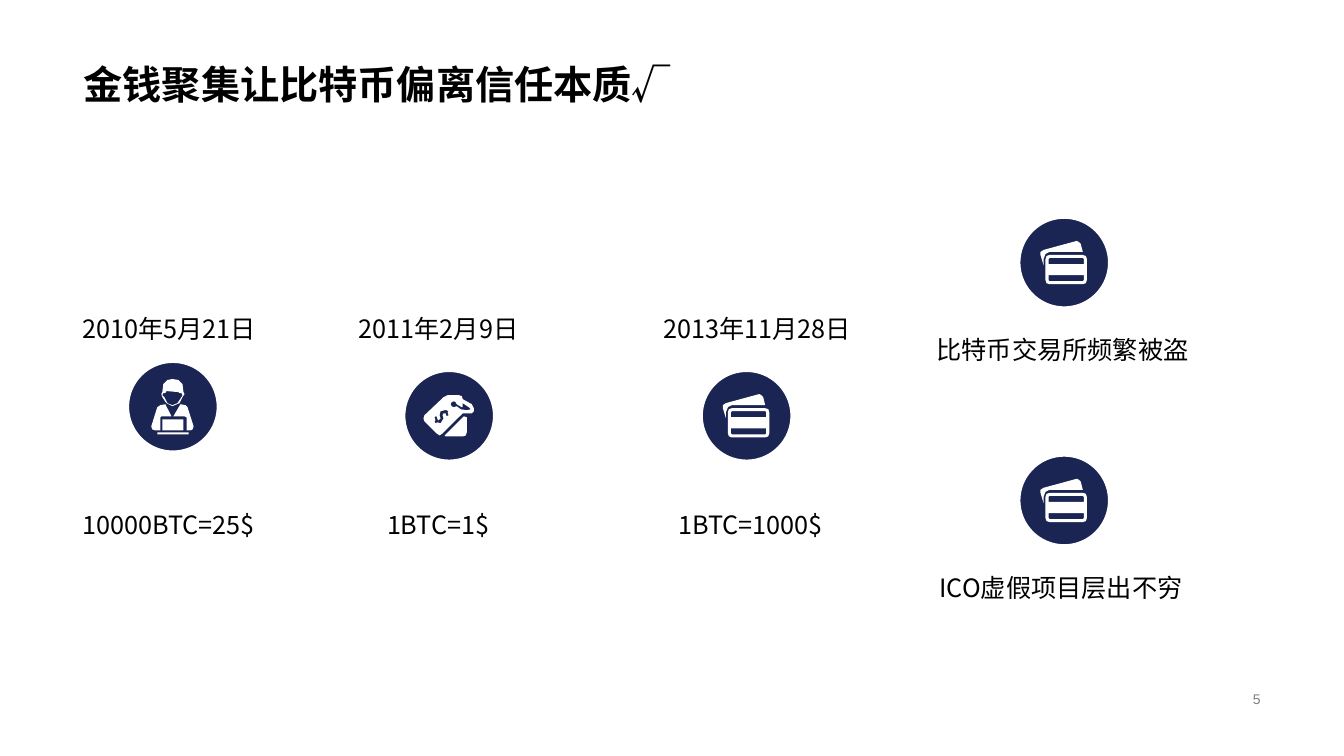
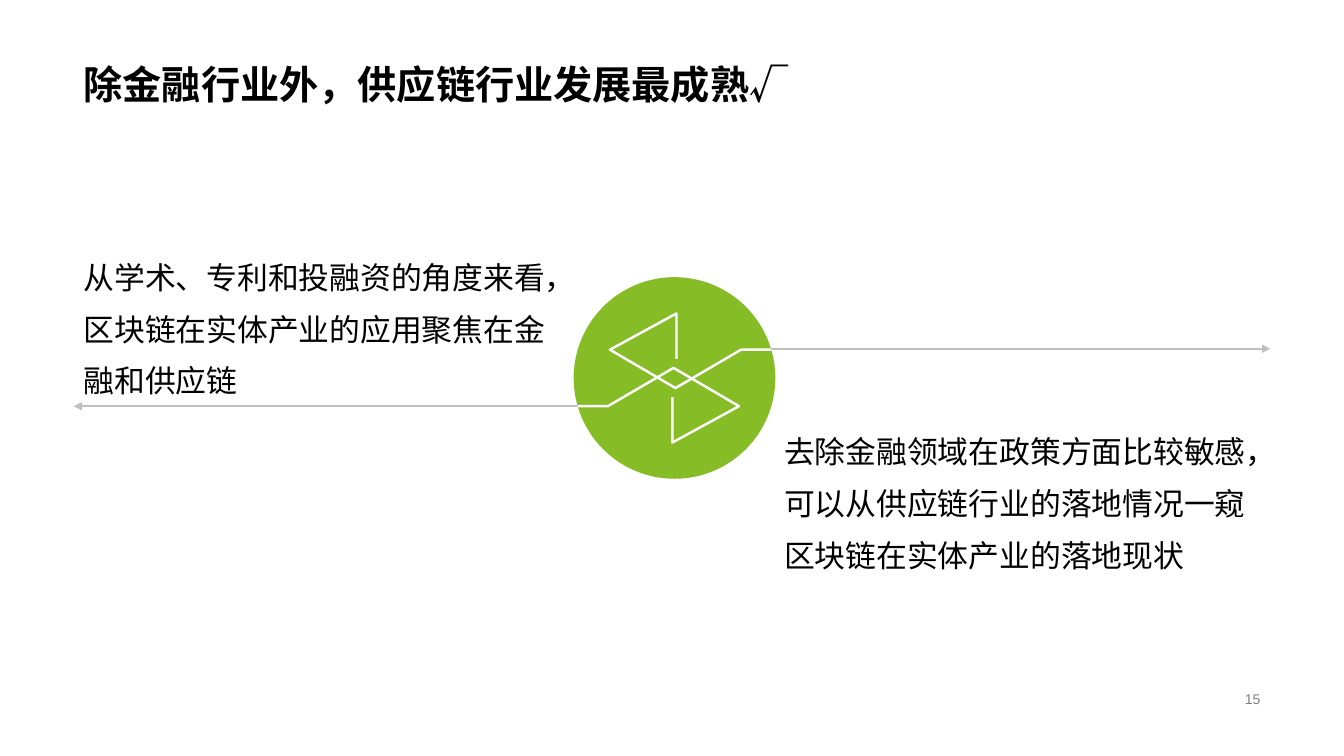
import pptx
import pptx.util
import pptx.dml.color
import pptx.enum.shapes
import pptx.enum.text
import pptx.oxml
import pptx.oxml.ns
from pptx.util import Inches

BLACK = pptx.dml.color.RGBColor(0x00, 0x00, 0x00)
WHITE = pptx.dml.color.RGBColor(0xFF, 0xFF, 0xFF)
GRAY = pptx.dml.color.RGBColor(0x80, 0x80, 0x80)
ARROW_GRAY = pptx.dml.color.RGBColor(0xBF, 0xBF, 0xBF)
NAVY = pptx.dml.color.RGBColor(0x1A, 0x25, 0x54)
GREEN = pptx.dml.color.RGBColor(0x86, 0xBC, 0x25)

LATIN_FONT = "Arial"
CJK_FONT = "Noto Sans CJK SC"
ANCHOR = pptx.enum.text.MSO_ANCHOR
ALIGN = pptx.enum.text.PP_ALIGN
OVAL = pptx.enum.shapes.MSO_SHAPE.OVAL
STRAIGHT = pptx.enum.shapes.MSO_CONNECTOR.STRAIGHT

# Icon outlines, in hundredths of an inch from the badge's top left corner
BADGE_SIZE = 0.91
CARDS = [
    [(31, 38), (64, 38), (67, 39), (68, 42), (68, 63), (67, 66), (64, 67),
     (31, 67), (28, 66), (27, 63), (27, 42), (28, 39)],
    [(30, 58), (65, 58), (65, 63), (64, 64), (31, 64), (30, 63)],
    [(31, 41), (64, 41), (65, 42), (65, 47), (30, 47), (30, 42)],
    [(58, 24), (60, 25), (62, 27), (64, 35), (31, 35), (27, 37), (25, 42),
     (25, 48), (22, 38), (22, 35), (25, 33)],
]
HACKER = [
    [(30, 71), (61, 71), (61, 73), (30, 73)],
    [(35, 58), (56, 58), (56, 69), (35, 69)],
    [(53, 43), (58, 44), (60, 46), (66, 65), (65, 68), (63, 69), (59, 69),
     (59, 56), (57, 55), (46, 55)],
    [(38, 43), (44, 55), (34, 55), (33, 56), (33, 69), (28, 69), (25, 68),
     (24, 65), (30, 46), (33, 44)],
    [(45, 18), (51, 19), (55, 23), (56, 31), (57, 33), (55, 36), (52, 42),
     (45, 45), (39, 42), (35, 36), (34, 33), (35, 31), (36, 23), (40, 19)],
    [(39, 30), (38, 32), (36, 32), (35, 34), (37, 36), (40, 42), (45, 44),
     (50, 42), (54, 36), (55, 34), (54, 32), (52, 32), (51, 31)],
]
PRICE_TAG = [
    [(60, 46), (63, 47), (63, 62), (62, 65), (59, 66), (42, 66), (41, 65)],
    [(44, 25), (55, 25), (58, 26), (59, 29), (68, 34), (70, 38), (70, 41),
     (68, 43), (64, 43), (59, 43), (39, 63), (36, 65), (33, 63), (21, 51),
     (20, 48), (21, 45), (40, 27)],
    [(43, 40), (41, 40), (37, 41), (36, 45), (37, 48), (35, 50), (34, 49),
     (33, 46), (32, 46), (31, 47), (32, 50), (31, 51), (32, 53), (34, 52),
     (37, 53), (40, 48), (39, 45), (40, 43), (42, 43), (43, 46), (45, 45),
     (44, 42), (45, 41)],
    [(50, 31), (48, 32), (47, 34), (48, 36), (50, 37), (53, 36), (57, 39),
     (63, 40), (67, 39), (65, 37), (59, 33), (59, 37), (58, 37), (53, 34),
     (52, 32)],
]


class Deck:
    """Holds the shared style and the slide being filled."""

    def __init__(self):
        self.presentation = pptx.Presentation()
        self.presentation.slide_width = Inches(13.33)
        self.presentation.slide_height = Inches(7.5)
        self.slide = None

    def style(self, paragraph, size, color=BLACK, font=LATIN_FONT, bold=False):
        paragraph.font.size = pptx.util.Pt(size)
        paragraph.font.bold = bold
        paragraph.font.color.rgb = color
        paragraph.font.name = font
        # East Asian typeface follows the Latin one
        defaults = paragraph._p.pPr.find(pptx.oxml.ns.qn("a:defRPr"))
        east_asian = pptx.oxml.parse_xml(
            f'<a:ea {pptx.oxml.ns.nsdecls("a")} typeface="{CJK_FONT}"/>')
        defaults.append(east_asian)

    def start_slide(self, heading, number):
        layout = self.presentation.slide_layouts[5]
        self.slide = self.presentation.slides.add_slide(layout)
        title = self.slide.shapes.title
        title.left, title.top = Inches(0.73), Inches(0)
        title.width, title.height = Inches(11.87), Inches(1.12)
        title.text_frame.text = heading
        title.text_frame.vertical_anchor = ANCHOR.BOTTOM
        paragraph = title.text_frame.paragraphs[0]
        paragraph.alignment = ALIGN.LEFT
        paragraph.line_spacing = 0.9
        self.style(paragraph, 28, bold=True)
        footer = self.text(number, 9.42, 6.82, 3.18, 0.23, 10, color=GRAY)
        footer.vertical_anchor = ANCHOR.MIDDLE
        footer.paragraphs[0].alignment = ALIGN.RIGHT

    def text(self, words, left, top, width, height, size, color=BLACK,
             font=LATIN_FONT, spacing=None):
        box = self.slide.shapes.add_textbox(
            Inches(left), Inches(top), Inches(width), Inches(height))
        frame = box.text_frame
        frame.word_wrap = True
        frame.text = words
        frame.paragraphs[0].line_spacing = spacing
        self.style(frame.paragraphs[0], size, color, font)
        return frame

    def label(self, words, left, top, width):
        self.text(words, left, top, width, 0.4, 18, font=CJK_FONT)

    def circle(self, shapes, left, top, size, fill):
        disc = shapes.add_shape(
            OVAL, Inches(left), Inches(top), Inches(size), Inches(size))
        disc.shadow.inherit = False
        disc.fill.solid()
        disc.fill.fore_color.rgb = fill
        disc.line.fill.background()
        return disc

    def outline(self, shapes, contours, left=0, top=0, close=True):
        """Draws contours given in hundredths of an inch."""
        builder = shapes.build_freeform(*contours[0][0], scale=Inches(0.01))
        builder.add_line_segments(contours[0][1:], close=close)
        for contour in contours[1:]:
            builder.move_to(*contour[0])
            builder.add_line_segments(contour[1:], close=close)
        shape = builder.convert_to_shape(Inches(left), Inches(top))
        shape.shadow.inherit = False
        return shape

    def badge(self, icon, left, top):
        shapes = self.slide.shapes.add_group_shape().shapes
        disc = self.circle(shapes, left, top, BADGE_SIZE, NAVY)
        disc.line.color.rgb = WHITE
        disc.line.width = pptx.util.Pt(3)
        glyph = self.outline(shapes, icon, left, top)
        glyph.fill.solid()
        glyph.fill.fore_color.rgb = WHITE
        glyph.line.fill.background()

    def zigzag(self, points):
        band = self.outline(self.slide.shapes, [points], close=False)
        band.fill.background()
        band.line.color.rgb = WHITE
        band.line.width = pptx.util.Pt(1.75)

    def arrow(self, start, end, y):
        line = self.slide.shapes.add_connector(
            STRAIGHT, Inches(start), Inches(y), Inches(end), Inches(y))
        line.line.color.rgb = ARROW_GRAY
        line.line.width = pptx.util.Pt(1.75)
        namespace = pptx.oxml.ns.nsdecls("a")
        line.line._get_or_add_ln().append(
            pptx.oxml.parse_xml(f'<a:tailEnd {namespace} type="triangle"/>'))
        line._element.spPr.append(
            pptx.oxml.parse_xml(f"<a:effectLst {namespace}/>"))


def build_price_slide(deck):
    deck.start_slide("金钱聚集让比特币偏离信任本质√", "5")

    # Price milestones: badge, date above, price below
    milestones = [
        (HACKER, 1.26, 3.58, "2010年5月21日", 0.72, 1.99,
         "10000BTC=25$", 0.72, 2.01),
        (PRICE_TAG, 4, 3.67, "2011年2月9日", 3.46, 1.84,
         "1BTC=1$", 3.74, 1.28),
        (CARDS, 6.95, 3.67, "2013年11月28日", 6.48, 2.14,
         "1BTC=1000$", 6.63, 1.72),
    ]
    for (icon, left, top, date, date_left, date_width,
         price, price_left, price_width) in milestones:
        deck.badge(icon, left, top)
        deck.label(date, date_left, 3.06, date_width)
        deck.label(price, price_left, 5, price_width)

    # Problems that followed
    problems = [
        (2.15, "比特币交易所频繁被盗", 9.19, 2.73),
        (4.51, "ICO虚假项目层出不穷", 9.22, 2.66),
    ]
    for top, problem, left, width in problems:
        deck.badge(CARDS, 10.1, top)
        deck.label(problem, left, top + 1.12, width)


def build_supply_chain_slide(deck):
    deck.start_slide("除金融行业外，供应链行业发展最成熟√", "15")

    # Central emblem with an arrow to each side
    deck.arrow(5.79, 0.73, 4.03)
    deck.arrow(7.65, 12.6, 3.46)
    deck.circle(deck.slide.shapes, 5.69, 2.75, 2, GREEN)
    lower_band = [(573, 403), (603, 403), (668, 365), (733, 403),
                  (667, 439), (667, 394)]
    # The upper band is the lower one turned half round the centre
    upper_band = [(1338 - x, 750 - y) for x, y in lower_band]
    deck.zigzag(lower_band)
    deck.zigzag(upper_band)

    # Two statements
    statements = [
        ("从学术、专利和投融资的角度来看，区块链在实体产业的应用聚焦在金融和供应链",
         0.73, 2.37),
        ("去除金融领域在政策方面比较敏感，可以从供应链行业的落地情况一窥"
         "区块链在实体产业的落地现状", 7.68, 4.1),
    ]
    for statement, left, top in statements:
        deck.text(statement, left, top, 4.91, 1.66, 22, spacing=1.4)


def main():
    deck = Deck()
    build_price_slide(deck)
    build_supply_chain_slide(deck)
    deck.presentation.save("out.pptx")


if __name__ == "__main__":
    main()
